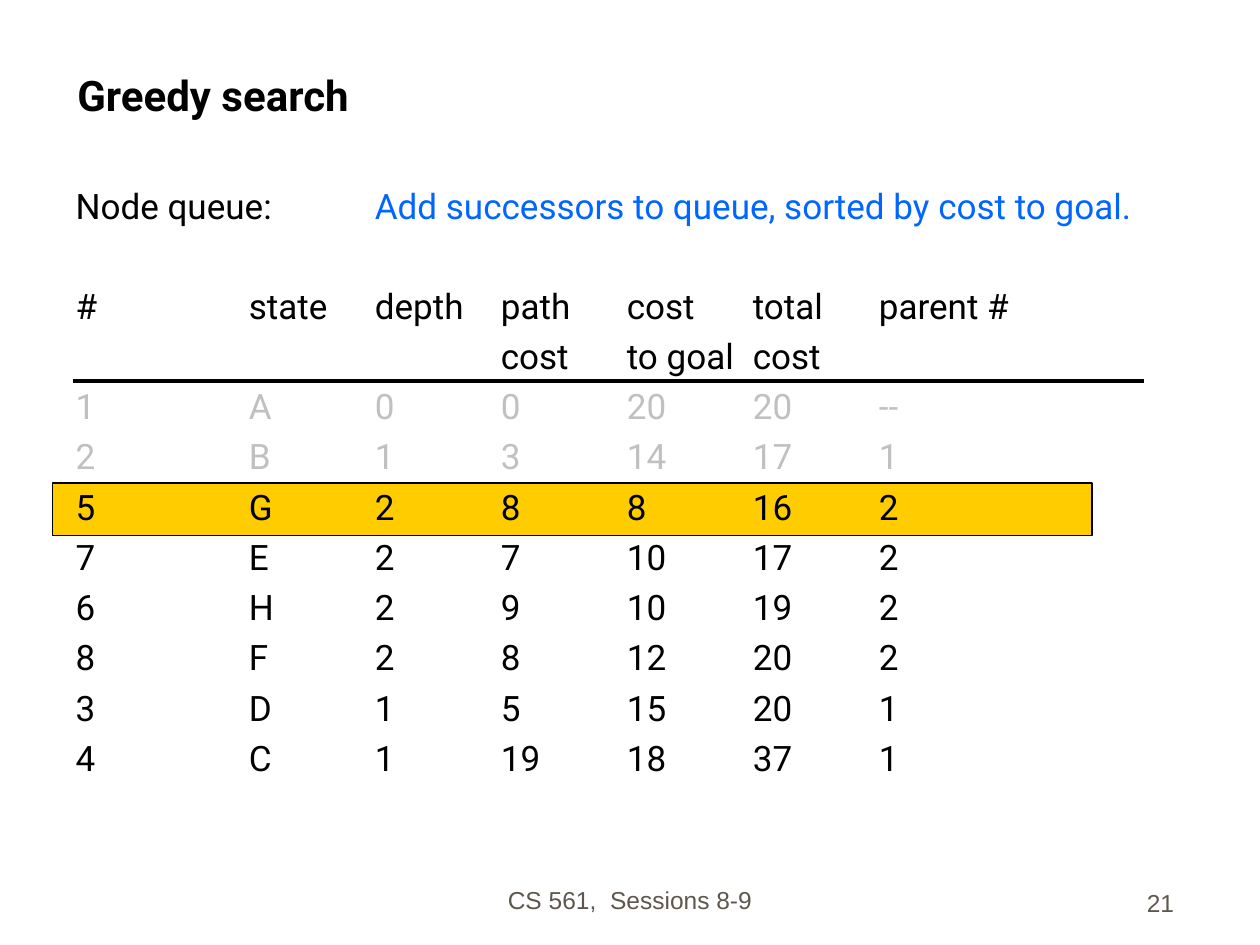
"""Build the greedy search slide with its node queue."""
from lxml.etree import SubElement
from pptx import Presentation
from pptx.dml.color import RGBColor
from pptx.enum.shapes import MSO_CONNECTOR, MSO_SHAPE
from pptx.enum.text import MSO_ANCHOR, MSO_AUTO_SIZE, PP_ALIGN
from pptx.oxml.ns import qn
from pptx.util import Pt

BLACK = RGBColor(0x00, 0x00, 0x00)
WHITE = RGBColor(0xFF, 0xFF, 0xFF)
BLUE = RGBColor(0x00, 0x66, 0xFF)
SILVER = RGBColor(0xC0, 0xC0, 0xC0)
TAUPE = RGBColor(0x5E, 0x57, 0x4E)
GOLD = RGBColor(0xFF, 0xCC, 0x00)

TITLE_FONT = {"name": "Roboto", "size": Pt(24), "bold": True}
BODY_FONT = {"name": "Roboto", "size": Pt(20)}
FOOTER_FONT = {"name": "Arial", "size": Pt(14)}
ROW_GAP = 4.7
HEADER_GAP = 32.8
HANGING_INDENT = 27
TAB_WIDTH = 72

HEADER_ROWS = [
    ("#", "state", "depth", "path", "cost", "total", "parent #"),
    ("", "", "", "cost", "to goal", "cost"),
]
EXPANDED_ROWS = [
    (1, "A", 0, 0, 20, 20, "--"),
    (2, "B", 1, 3, 14, 17, 1),
]
QUEUED_ROWS = [
    (5, "G", 2, 8, 8, 16, 2),
    (7, "E", 2, 7, 10, 17, 2),
    (6, "H", 2, 9, 10, 19, 2),
    (8, "F", 2, 8, 12, 20, 2),
    (3, "D", 1, 5, 15, 20, 1),
    (4, "C", 1, 19, 18, 37, 1),
]


def apply(target, values):
    """Set every attribute named in values on the target."""
    for name, value in values.items():
        setattr(target, name, value)


class SlideBuilder:
    """Hold the style and the current slide."""

    def __init__(self, presentation):
        """Add a slide with title and body and a white background."""
        self.slide = presentation.slides.add_slide(presentation.slide_layouts[1])
        self.shapes = self.slide.shapes
        self.slide.background.fill.solid()
        self.slide.background.fill.fore_color.rgb = WHITE

    def add_run(self, paragraph, text, font, color):
        """Add a formatted run to the paragraph."""
        run = paragraph.add_run()
        run.text = text
        apply(run.font, font)
        run.font.color.rgb = color

    def place(self, shape, left, top, width, height, anchor):
        """Move a placeholder to the front and to its position."""
        self.shapes.element.append(shape.element)
        apply(shape, {"left": Pt(left), "top": Pt(top),
                      "width": Pt(width), "height": Pt(height)})
        apply(shape.text_frame, {"word_wrap": True, "vertical_anchor": anchor,
                                 "auto_size": MSO_AUTO_SIZE.NONE})
        return shape.text_frame

    def add_title(self, text, *box):
        """Fill the title placeholder."""
        frame = self.place(self.shapes.title, *box, MSO_ANCHOR.BOTTOM)
        frame.paragraphs[0].alignment = PP_ALIGN.LEFT
        self.add_run(frame.paragraphs[0], text, TITLE_FONT, BLACK)

    def add_body(self, lines, *box):
        """Fill the body placeholder with lines of gap and coloured runs."""
        frame = self.place(self.slide.placeholders[1], *box, MSO_ANCHOR.TOP)
        for index, (gap, runs) in enumerate(lines):
            paragraph = frame.add_paragraph() if index else frame.paragraphs[0]
            paragraph.space_before = Pt(gap)
            properties = paragraph._p.get_or_add_pPr()
            for name, value in {"marL": HANGING_INDENT, "indent": -HANGING_INDENT,
                                "defTabSz": TAB_WIDTH}.items():
                properties.set(name, str(Pt(value)))
            SubElement(properties, qn("a:buNone"))
            for text, color in runs:
                self.add_run(paragraph, text, BODY_FONT, color)

    def add_footer(self, text, alignment, left, top, width, height):
        """Add a footer text box."""
        box = self.shapes.add_textbox(Pt(left), Pt(top), Pt(width), Pt(height))
        apply(box.text_frame, {"word_wrap": True, "vertical_anchor": MSO_ANCHOR.BOTTOM})
        paragraph = box.text_frame.paragraphs[0]
        paragraph.alignment = alignment
        self.add_run(paragraph, text, FOOTER_FONT, TAUPE)

    def add_highlight(self, left, top, width, height):
        """Add the bar behind the current node."""
        bar = self.shapes.add_shape(MSO_SHAPE.RECTANGLE, Pt(left), Pt(top),
                                    Pt(width), Pt(height))
        bar.shadow.inherit = False
        bar.fill.solid()
        bar.fill.fore_color.rgb = GOLD
        bar.line.color.rgb = BLACK
        bar.line.width = Pt(0.75)

    def add_rule(self, left, right, top):
        """Add the horizontal line below the header."""
        rule = self.shapes.add_connector(MSO_CONNECTOR.STRAIGHT, Pt(left), Pt(top),
                                         Pt(right), Pt(top))
        rule.line.color.rgb = BLACK
        rule.line.width = Pt(2.25)
        SubElement(rule.element.spPr, qn("a:effectLst"))


def queue_lines():
    """Return the caption and the tabbed rows of the queue."""
    lines = [(0, [("Node queue:\t", BLACK),
                  ("Add successors to queue, sorted by cost to goal.", BLUE)])]
    groups = [(HEADER_ROWS, BLACK), (EXPANDED_ROWS, SILVER), (QUEUED_ROWS, BLACK)]
    for rows, color in groups:
        for number, *cells in rows:
            gap = HEADER_GAP if number == "#" else ROW_GAP
            text = f"{number}\t\t" + "\t".join(map(str, cells))
            lines.append((gap, [(text, color)]))
    return lines


def main():
    """Build and save the presentation."""
    presentation = Presentation()
    apply(presentation, {"slide_width": Pt(720), "slide_height": Pt(540)})
    builder = SlideBuilder(presentation)
    builder.add_footer("CS 561,  Sessions 8-9", PP_ALIGN.CENTER, 246, 490, 228, 36)
    builder.add_footer("21", PP_ALIGN.RIGHT, 528, 492, 150, 36)
    builder.add_highlight(30, 276, 594, 30)
    builder.add_title("Greedy search", 37, 18, 642, 54)
    builder.add_body(queue_lines(), 36, 102, 644, 396)
    builder.add_rule(42, 654, 217.5)
    presentation.save("out.pptx")


if __name__ == "__main__":
    main()
